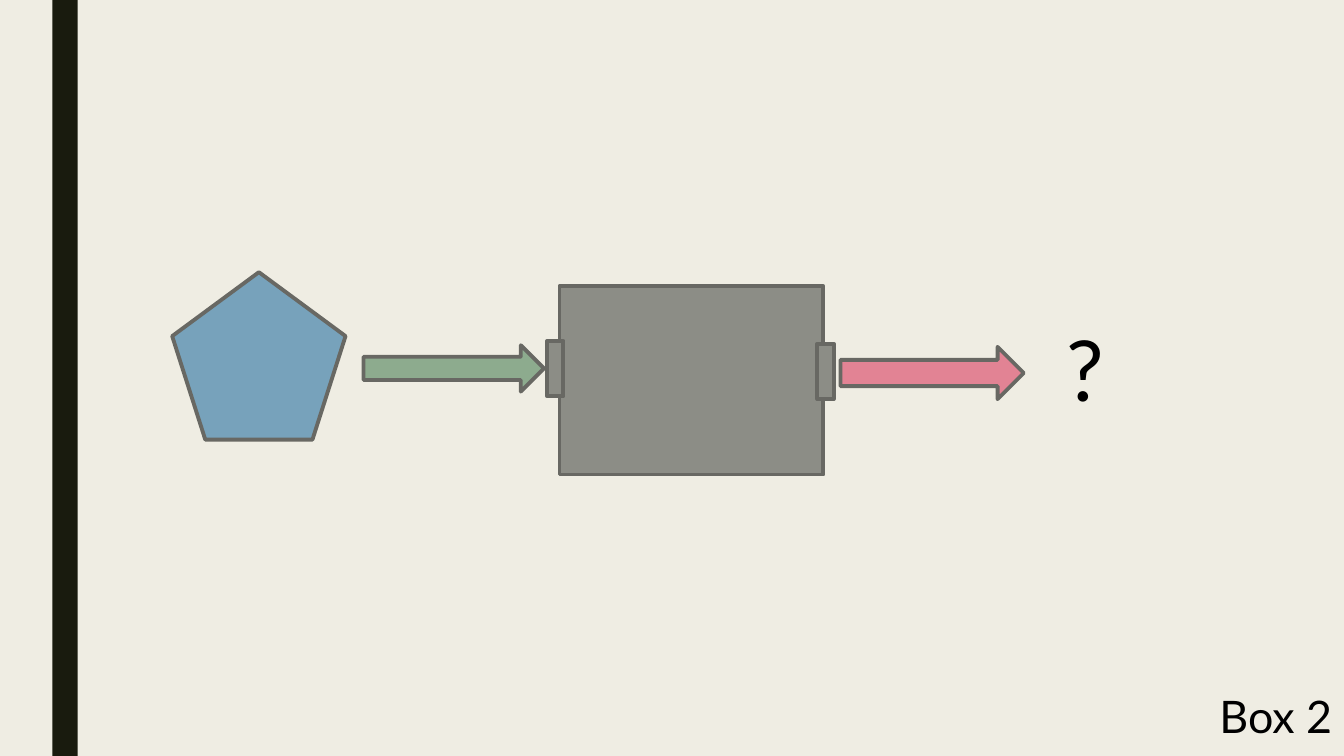
import pptx
import pptx.dml.color
import pptx.enum.shapes
import pptx.enum.text
import pptx.util
from dataclasses import dataclass

Cm = pptx.util.Cm
SHAPE = pptx.enum.shapes.MSO_SHAPE


@dataclass(frozen=True)
class Theme:
    background: str = "EFEDE3"
    stripe: str = "191B0E"
    machine: str = "8C8D86"
    input_arrow: str = "8DAB8E"
    output_arrow: str = "E28394"
    pentagon: str = "77A2BB"
    outline: str = "686863"
    text: str = "000000"
    font: str = "Lato"
    outline_width: float = 2.75
    question_size: int = 60
    label_size: int = 32


THEME = Theme()
SLIDE_SIZE = (33.87, 19.05)
STRIPE = (1.32, 0, 0.64, SLIDE_SIZE[1])

# Kind, (left, top, width, height) in cm before rotation, fill, rotation
DIAGRAM = [
    (SHAPE.RECTANGLE, (14.1, 7.21, 6.65, 4.75), THEME.machine, 0),
    (SHAPE.UP_ARROW, (10.85, 7.01, 1.17, 4.55), THEME.input_arrow, 90),
    (SHAPE.UP_ARROW, (22.83, 7.09, 1.32, 4.62), THEME.output_arrow, 90),
    (SHAPE.RECTANGLE, (13.79, 8.59, 0.41, 1.4), THEME.machine, 0),
    (SHAPE.RECTANGLE, (20.6, 8.66, 0.41, 1.4), THEME.machine, 0),
    (SHAPE.REGULAR_PENTAGON, (4.34, 6.86, 4.37, 4.22), THEME.pentagon, 0),
]
TEXTS = [
    ("?", (26.62, 7.87, 3.2, 2.82), THEME.question_size),
    ("Box 2", (30.48, 17.22, 4.01, 1.63), THEME.label_size),
]


def rgb(color):
    return pptx.dml.color.RGBColor.from_string(color)


def add_filled_shape(slide, kind, box, fill, rotation=0, outlined=True):
    shape = slide.shapes.add_shape(kind, *map(Cm, box))
    shape.shadow.inherit = False
    shape.rotation = rotation
    shape.fill.solid()
    shape.fill.fore_color.rgb = rgb(fill)
    if outlined:
        shape.line.color.rgb = rgb(THEME.outline)
        shape.line.width = pptx.util.Pt(THEME.outline_width)
    else:
        shape.line.fill.background()


def add_text(slide, text, box, size):
    frame = slide.shapes.add_textbox(*map(Cm, box)).text_frame
    frame.word_wrap = True
    frame.auto_size = pptx.enum.text.MSO_AUTO_SIZE.SHAPE_TO_FIT_TEXT
    run = frame.paragraphs[0].add_run()
    run.text = text
    font_format = {"name": THEME.font, "size": pptx.util.Pt(size)}
    for attribute, value in font_format.items():
        setattr(run.font, attribute, value)
    run.font.color.rgb = rgb(THEME.text)


def main():
    presentation = pptx.Presentation()
    presentation.slide_width, presentation.slide_height = map(Cm, SLIDE_SIZE)
    slide = presentation.slides.add_slide(presentation.slide_layouts[6])
    slide.background.fill.solid()
    slide.background.fill.fore_color.rgb = rgb(THEME.background)

    add_filled_shape(slide, SHAPE.RECTANGLE, STRIPE, THEME.stripe, outlined=False)
    for kind, box, fill, rotation in DIAGRAM:
        add_filled_shape(slide, kind, box, fill, rotation)
    for text, box, size in TEXTS:
        add_text(slide, text, box, size)
    presentation.save("out.pptx")


if __name__ == "__main__":
    main()
